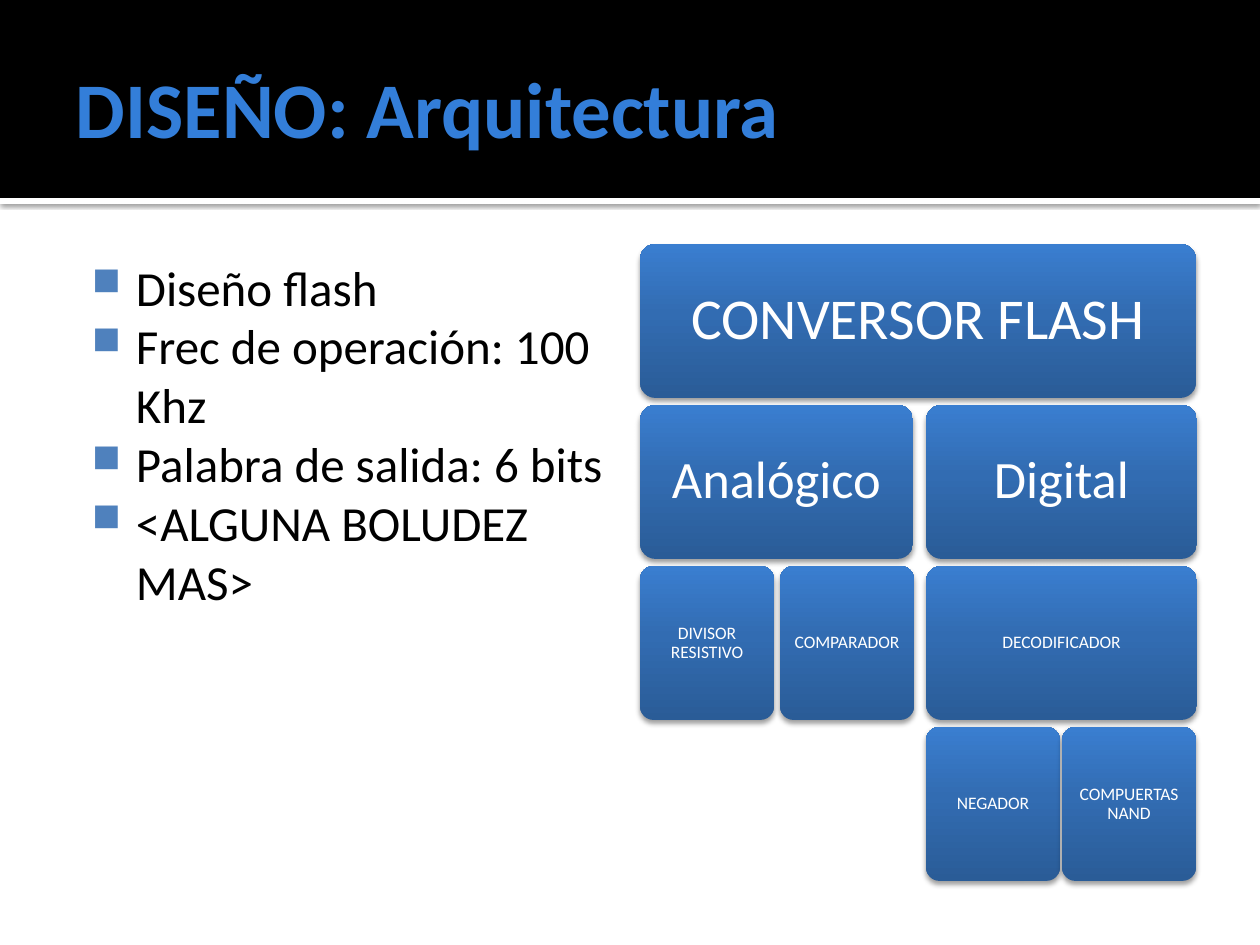
import copy
from dataclasses import dataclass

import lxml.etree
import pptx
import pptx.dml.color
import pptx.enum.shapes
import pptx.enum.text
import pptx.oxml
import pptx.oxml.ns
import pptx.util

SCALE = 914400 / 126
FONT = "Calibri"
GRADE = [(0, "2A5C97"), (0.55, "326CB2"), (1, "3A7ED0")]
LEFT, TOP, HIGH, PITCH = 640, 244, 154, 161
SHAPE = pptx.enum.shapes.MSO_SHAPE
ALIGN = pptx.enum.text.PP_ALIGN
ANCHOR = pptx.enum.text.MSO_ANCHOR
qn = pptx.oxml.ns.qn


@dataclass
class Block:
    text: str
    left: int
    row: int
    width: int
    size: int = 10
    inset: int = 5


BLOCKS = [
    Block("CONVERSOR FLASH", LEFT, 0, 556, 33, 18),
    Block("Analógico", LEFT, 1, 273, 30, 15),
    Block("DIVISOR RESISTIVO", LEFT, 2, 134),
    Block("COMPARADOR", 780, 2, 134),
    Block("Digital", 926, 1, 271, 30, 15),
    Block("DECODIFICADOR", 926, 2, 271),
    Block("NEGADOR", 926, 3, 134),
    Block("COMPUERTAS NAND", 1062, 3, 134),
]
POINTS = [
    "Diseño flash",
    "Frec de operación: 100 Khz",
    "Palabra de salida: 6 bits",
    "<ALGUNA BOLUDEZ MAS>",
]


def px(count: int) -> int:
    return round(count * SCALE)


def tint(code: str) -> pptx.dml.color.RGBColor:
    return pptx.dml.color.RGBColor.from_string(code)


def write(shape, lines, *, size, color, insets, bold=False, align=ALIGN.LEFT,
          anchor=ANCHOR.TOP, space=1.0, after=0.0):
    """Fill a shape with one paragraph per line; insets are left, top, right, bottom."""
    frame = shape.text_frame
    frame.word_wrap = True
    frame.vertical_anchor = anchor
    (frame.margin_left, frame.margin_top,
     frame.margin_right, frame.margin_bottom) = map(px, insets)
    frame.text = "\n".join(lines)
    for para in frame.paragraphs:
        para.alignment = align
        para.line_spacing = space
        para.space_before = pptx.util.Pt(0)
        para.space_after = pptx.util.Pt(after)
        font = para.runs[0].font
        font.name, font.size, font.bold = FONT, pptx.util.Pt(size), bold
        font.color.rgb = tint(color)
    return frame


def shade(shape, alpha: int, blur: float, dist: float):
    """Cast a black shadow straight down; alpha in percent, lengths in points."""
    shape.shadow.inherit = False
    effects = shape._element.spPr.find(qn("a:effectLst"))
    outer = lxml.etree.SubElement(
        effects, qn("a:outerShdw"), blurRad=str(pptx.util.Pt(blur)),
        dist=str(pptx.util.Pt(dist)), dir="5400000", algn="ctr", rotWithShape="0")
    black = lxml.etree.SubElement(outer, qn("a:srgbClr"), val="000000")
    lxml.etree.SubElement(black, qn("a:alpha"), val=str(alpha * 1000))


def draw_bar(slide, top: int, height: int, color: str):
    bar = slide.shapes.add_shape(SHAPE.RECTANGLE, 0, px(top), px(1260), px(height))
    bar.fill.solid()
    bar.fill.fore_color.rgb = tint(color)
    bar.line.fill.background()
    bar.shadow.inherit = False
    return bar


def grade(shape):
    shape.fill.gradient()
    shape.fill.gradient_angle = 90
    stops = shape._element.spPr.find(qn("a:gradFill")).find(qn("a:gsLst"))
    stops.insert(1, copy.deepcopy(stops[0]))
    for stop, (place, color) in zip(shape.fill.gradient_stops, GRADE):
        stop.position = place
        stop.color.rgb = tint(color)


def draw_block(slide, block: Block):
    shape = slide.shapes.add_shape(
        SHAPE.ROUNDED_RECTANGLE, px(block.left), px(TOP + block.row * PITCH),
        px(block.width), px(HIGH))
    shape.adjustments[0] = 0.1
    grade(shape)
    shape.line.fill.background()
    shade(shape, 38, 3.1, 2)
    write(shape, [block.text], size=block.size, color="FFFFFF",
          insets=[block.inset] * 4, align=ALIGN.CENTER, anchor=ANCHOR.MIDDLE,
          space=0.9, after=round(block.size * 0.35, 2))


def draw_list(slide):
    box = slide.shapes.add_textbox(px(63), px(TOP), px(557), px(638))
    frame = write(box, POINTS, size=28, color="000000", insets=[13, 13, 13, 6])
    for para in frame.paragraphs:
        props = para._p.get_or_add_pPr()
        props.set("marL", str(px(60)))
        props.set("indent", str(px(-44)))
        color = lxml.etree.SubElement(props, qn("a:buClr"))
        lxml.etree.SubElement(color, qn("a:srgbClr"), val="4F81BD")
        lxml.etree.SubElement(props, qn("a:buSzPct"), val="80000")
        lxml.etree.SubElement(props, qn("a:buChar"), char="■")


def draw_title(slide):
    title = slide.shapes.title
    title.left, title.top, title.width, title.height = map(px, (63, 21, 1134, 173))
    write(title, ["DISEÑO: Arquitectura"], size=45, color="337ED9", bold=True,
          insets=[13, 6, 6, 6], anchor=ANCHOR.MIDDLE)
    slide.shapes._spTree.append(title._element)


def main():
    deck = pptx.Presentation()
    deck.slide_width, deck.slide_height = px(1260), px(945)
    slide = deck.slides.add_slide(deck.slide_layouts[5])
    shade(draw_bar(slide, 198, 6, "FFFFFF"), 60, 2.5, 0.8)
    draw_bar(slide, 0, 198, "000000")
    draw_title(slide)
    draw_list(slide)
    for block in BLOCKS:
        draw_block(slide, block)
    deck.save("out.pptx")


if __name__ == "__main__":
    main()
